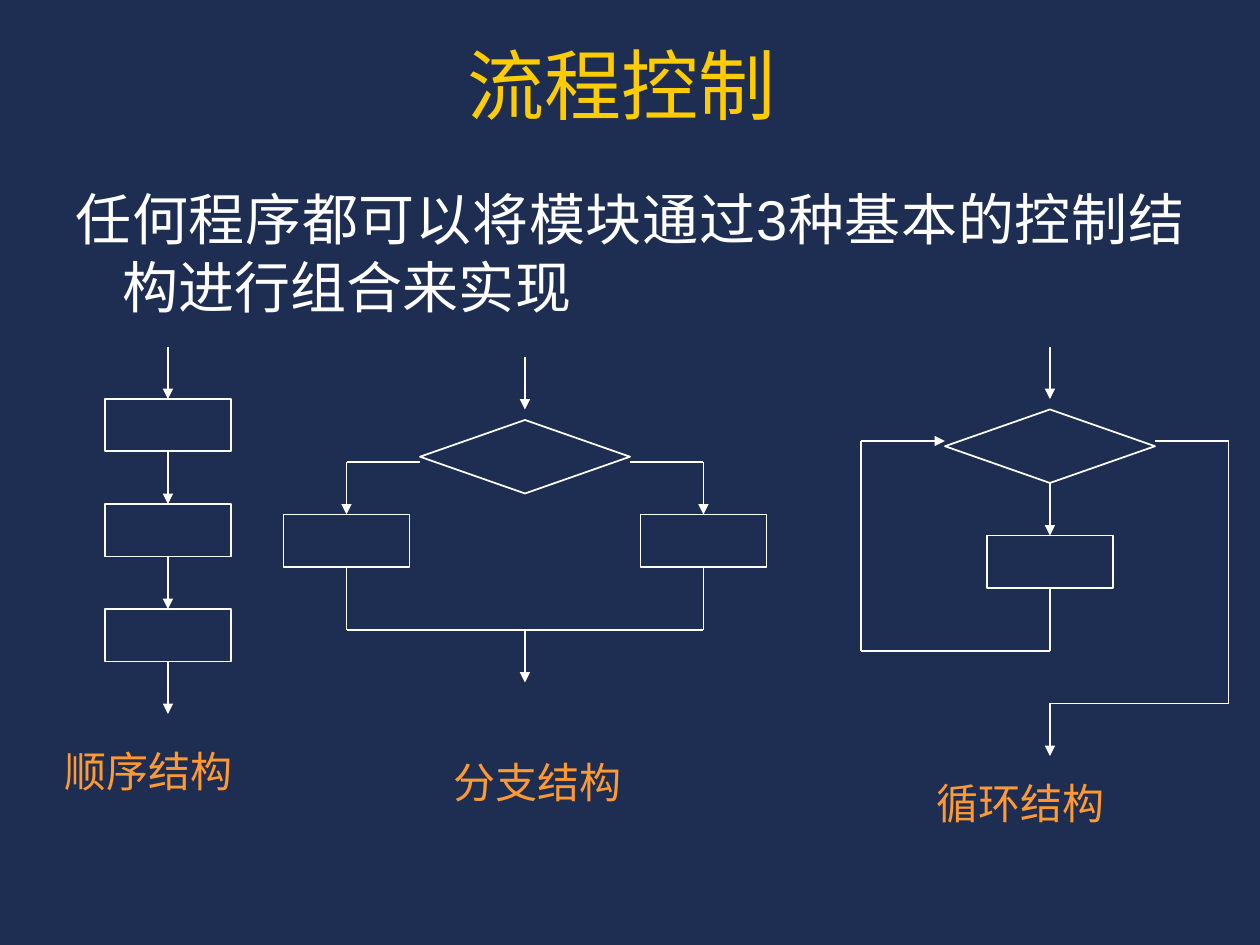
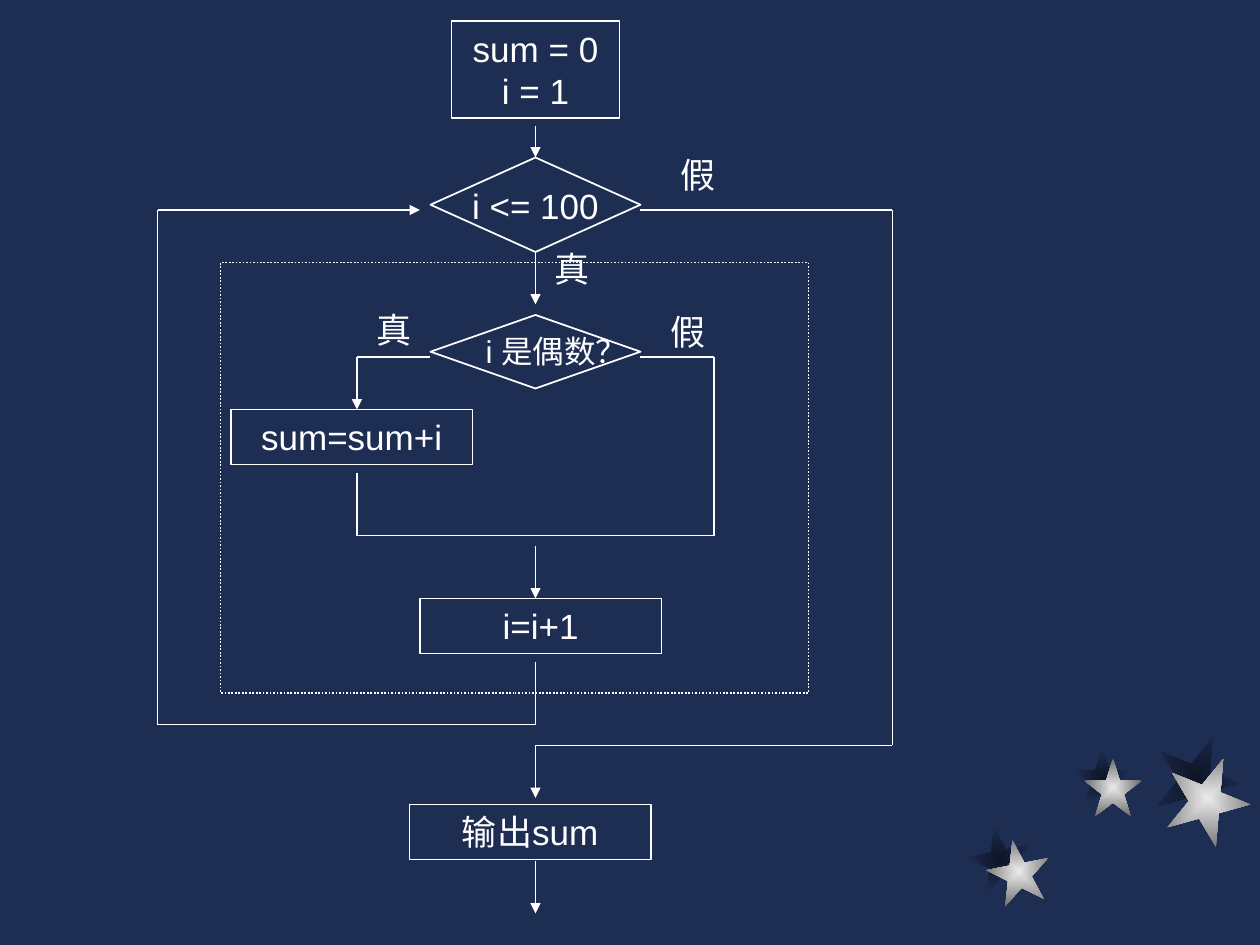
from itertools import pairwise

from lxml.etree import SubElement
from pptx import Presentation
from pptx.dml.color import RGBColor
from pptx.enum.dml import MSO_LINE
from pptx.enum.shapes import MSO_CONNECTOR, MSO_SHAPE
from pptx.enum.text import MSO_ANCHOR, MSO_AUTO_SIZE, PP_ALIGN
from pptx.oxml.ns import qn
from pptx.util import Pt

PX = 9525
NAVY = RGBColor(0x1E, 0x2E, 0x53)
DARK_NAVY = RGBColor(0x0E, 0x15, 0x26)
WHITE = RGBColor(0xFF, 0xFF, 0xFF)
YELLOW = RGBColor(0xFF, 0xCC, 0x00)
ORANGE = RGBColor(0xFF, 0x99, 0x33)
SILVER = RGBColor(0xEA, 0xEA, 0xEA)
GRAY = RGBColor(0x6C, 0x6C, 0x6C)
LATIN = "Arial"
CJK = "Noto Sans CJK SC"
HANGING = 36
BOX_W, BOX_H = 96, 40
STEP_W, STEP_H = 184, 42
DIAMOND_W = 160


def px(*values):
    return [round(v * PX) for v in values]


def place(sp, *box):
    sp.left, sp.top, sp.width, sp.height = px(*box)


def write(sp, text, size, color, font=LATIN, align=PP_ALIGN.CENTER,
          anchor=MSO_ANCHOR.TOP, fit=MSO_AUTO_SIZE.NONE):
    tf = sp.text_frame
    tf.text = text
    tf.word_wrap = True
    tf.auto_size = fit
    tf.vertical_anchor = anchor
    for p in tf.paragraphs:
        p.alignment = align
        p.font.size = Pt(size)
        p.font.name = font
        p.font.color.rgb = color
        SubElement(p.font._rPr, qn("a:ea"), typeface=CJK)
    return tf.paragraphs[0]


def hang(p, space_before):
    p.space_before = Pt(space_before)
    pPr = p._p.get_or_add_pPr()
    pPr.set("marL", str(HANGING * PX))
    pPr.set("indent", str(-HANGING * PX))


def add_title(s, text):
    place(s.shapes.title, 72, 16, 816, 88)
    write(s.shapes.title, text, 44, YELLOW, CJK, anchor=MSO_ANCHOR.BOTTOM)


def add_body(s, text):
    sp = s.placeholders[1]
    place(sp, 48, 136, 864, 120)
    p = write(sp, text, 32, WHITE, align=PP_ALIGN.JUSTIFY)
    hang(p, 8)
    pPr = p._p.get_or_add_pPr()
    pPr.insert_element_before(pPr.makeelement(qn("a:buNone"), {}),
                              "a:tabLst", "a:defRPr", "a:extLst")


def add_caption(s, left, top, text):
    sp = s.shapes.add_textbox(*px(left, top, 184, 40))
    p = write(sp, text, 24, ORANGE, CJK, PP_ALIGN.LEFT)
    p.line_spacing = 0.9
    hang(p, 6)


def add_label(s, left, top, text, width=56, height=42, size=20):
    sp = s.shapes.add_textbox(*px(left, top, width, height))
    write(sp, text, size, WHITE, fit=MSO_AUTO_SIZE.SHAPE_TO_FIT_TEXT)


def add_outline(s, kind, left, top, width, height):
    sp = s.shapes.add_shape(kind, *px(left, top, width, height))
    sp.shadow.inherit = False
    sp.fill.background()
    sp.line.color.rgb = WHITE
    sp.line.width = Pt(1)
    return sp


def add_box(s, left, top, width=BOX_W, height=BOX_H, text=None):
    sp = add_outline(s, MSO_SHAPE.RECTANGLE, left, top, width, height)
    if text:
        write(sp, text, 20, WHITE, fit=MSO_AUTO_SIZE.SHAPE_TO_FIT_TEXT)
    return sp


def add_diamond(s, left, top, height=56):
    add_outline(s, MSO_SHAPE.DIAMOND, left, top, DIAMOND_W, height)


def add_route(s, *points, arrow=True):
    for start, end in pairwise(points):
        c = s.shapes.add_connector(MSO_CONNECTOR.STRAIGHT, *px(*start, *end))
        c.line.color.rgb = WHITE
        c.line.width = Pt(1)
        SubElement(c._element.spPr, qn("a:effectLst"))
    if arrow:
        SubElement(c.line._get_or_add_ln(), qn("a:tailEnd"), type="triangle")


def add_down_arrow(s, x, top, bottom):
    add_route(s, (x, top), (x, bottom))


def add_star(s, left, top, size, rotation, center, edge):
    sp = s.shapes.add_shape(MSO_SHAPE.STAR_5_POINT, *px(left, top, size, size))
    sp.rotation = rotation
    sp.shadow.inherit = False
    sp.line.fill.background()
    sp.fill.gradient()
    for stop, color, position in zip(sp.fill.gradient_stops, (center, edge), (0, 1)):
        stop.color.rgb = color
        stop.position = position
    grad = sp._element.spPr.find(qn("a:gradFill"))
    grad.remove(grad.find(qn("a:lin")))
    shade = SubElement(grad, qn("a:path"), {"path": "rect"})
    SubElement(shade, qn("a:fillToRect"), l="50000", t="50000", r="50000", b="50000")


def add_stars(s):
    shadows = ((738, 630), (818, 570), (880, 560))
    stars = ((752, 640), (826, 578), (888, 576))
    forms = ((48, 349), (44, 0), (64, 22))
    for corners, center, edge in ((shadows, DARK_NAVY, NAVY), (stars, SILVER, GRAY)):
        for corner, form in zip(corners, forms):
            add_star(s, *corner, *form, center, edge)


def add_sequence(s):
    for i in range(4):
        top = 264 + 80 * i
        add_down_arrow(s, 128, top, top + 40)
        if i < 3:
            add_box(s, 80, top + 40)
    add_caption(s, 40, 568, "顺序结构")


def add_branch(s):
    add_down_arrow(s, 400, 272, 312)
    add_diamond(s, 320, 320)
    for corner, x in ((320, 264), (480, 536)):
        add_route(s, (corner, 352), (x, 352), (x, 392))
        add_box(s, x - BOX_W / 2, 392)
    add_route(s, (264, 432), (264, 480), (536, 480), (536, 432), arrow=False)
    add_down_arrow(s, 400, 480, 520)
    add_caption(s, 336, 576, "分支结构")


def add_loop(s):
    add_down_arrow(s, 800, 264, 304)
    add_diamond(s, 720, 312)
    add_down_arrow(s, 800, 368, 408)
    add_box(s, 752, 408)
    add_route(s, (800, 448), (800, 496), (656, 496), (656, 336), (720, 336))
    add_route(s, (880, 336), (936, 336), (936, 536), (800, 536), (800, 576))
    add_caption(s, 704, 592, "循环结构")


def build_structures(prs):
    s = prs.slides.add_slide(prs.slide_layouts[1])
    add_title(s, "流程控制 ")
    add_body(s, "任何程序都可以将模块通过3种基本的控制结构进行组合来实现")
    add_sequence(s)
    add_branch(s)
    add_loop(s)


def build_sum_flowchart(prs):
    s = prs.slides.add_slide(prs.slide_layouts[6])
    add_stars(s)
    loop_body = add_box(s, 168, 200, 448, 328)
    loop_body.line.dash_style = MSO_LINE.ROUND_DOT

    add_box(s, 344, 16, 128, 74, "sum = 0\ni = 1")
    for left, top, text in ((176, 312, "sum=sum+i"), (320, 456, "i=i+1"),
                            (312, 613, "输出sum")):
        add_box(s, left, top, STEP_W, STEP_H, text)

    add_diamond(s, 328, 120, 72)
    add_label(s, 328, 136, "i <= 100", DIAMOND_W)
    add_diamond(s, 328, 240)
    add_label(s, 344, 248, "i 是偶数？", DIAMOND_W, 38, 18)

    for top, bottom in ((96, 120), (192, 232), (416, 456), (656, 696)):
        add_down_arrow(s, 408, top, bottom)
    add_route(s, (408, 504), (408, 552), (120, 552), (120, 160), (320, 160))
    add_route(s, (488, 160), (680, 160), (680, 568), (408, 568), (408, 608))
    add_route(s, (328, 272), (272, 272), (272, 312))
    add_route(s, (488, 272), (544, 272), (544, 408), (272, 408), (272, 360), arrow=False)

    for left, top, text in ((408, 184, "真"), (272, 230, "真"),
                            (496, 232, "假"), (504, 112, "假")):
        add_label(s, left, top, text)


def main():
    prs = Presentation()
    prs.slide_width, prs.slide_height = px(960, 720)
    fill = prs.slide_master.background.fill
    fill.solid()
    fill.fore_color.rgb = NAVY
    build_structures(prs)
    build_sum_flowchart(prs)
    prs.save("out.pptx")


if __name__ == "__main__":
    main()
